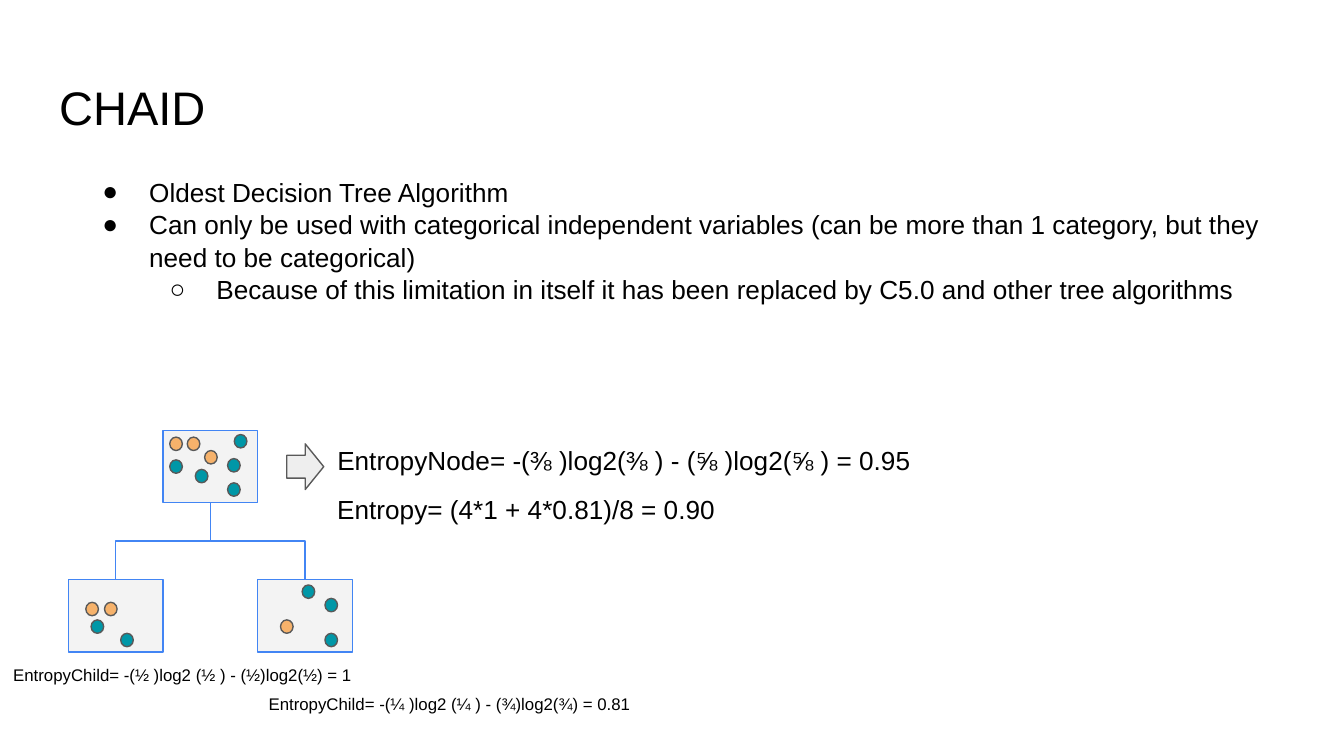
from lxml.etree import SubElement
from pptx import Presentation
from pptx.dml.color import RGBColor
from pptx.enum.shapes import MSO_CONNECTOR, MSO_SHAPE
from pptx.enum.text import MSO_ANCHOR, MSO_AUTO_SIZE, PP_ALIGN
from pptx.oxml.ns import qn
from pptx.util import Pt

BLUE, GREY, ORANGE, TEAL = "4285F4", "595959", "F6B26B", "0097A7"
NODE_W, NODE_H = 50.75, 38.75
DROP = 79.9  # from the top of the root to the top of its children
ROOT = [(ORANGE, 3.6, 3.6), (ORANGE, 13, 3.6), (TEAL, 38.2, 2.2),
        (TEAL, 3.6, 15.8), (TEAL, 17.3, 20.9), (ORANGE, 22.3, 10.8),
        (TEAL, 34.6, 15.1), (TEAL, 34.6, 28.1)]
LEFT = [(ORANGE, 9.4, 12.2), (ORANGE, 19.4, 12.2),
        (TEAL, 12.2, 21.6), (TEAL, 28.1, 28.8)]
RIGHT = [(ORANGE, 12.2, 21.6), (TEAL, 36, 10.1),
         (TEAL, 23.8, 2.9), (TEAL, 36, 28.8)]
POINTS = [
    (0, "Oldest Decision Tree Algorithm"),
    (0, "Can only be used with categorical independent variables "
        "(can be more than 1 category, but they need to be categorical)"),
    (1, "Because of this limitation in itself it has been replaced by "
        "C5.0 and other tree algorithms"),
]


def color(code):
    return RGBColor.from_string(code)


def place(shape, box):
    shape.left, shape.top, shape.width, shape.height = map(Pt, box)


def set_frame(frame, anchor=MSO_ANCHOR.TOP):
    frame.word_wrap = True
    frame.auto_size = MSO_AUTO_SIZE.NONE
    frame.vertical_anchor = anchor
    frame.margin_left = frame.margin_right = Pt(7.2)
    frame.margin_top = frame.margin_bottom = Pt(7.2)


def add_run(para, text, size):
    run = para.add_run()
    run.text = text
    run.font.size = Pt(size)
    run.font.name = "Arial"
    run.font.color.rgb = color("000000")


def add_bullet(para, char, indent):
    props = para._p.get_or_add_pPr()
    props.set("marL", str(Pt(indent)))
    props.set("indent", str(Pt(-25)))
    tint = SubElement(props, qn("a:buClr"))
    SubElement(tint, qn("a:srgbClr"), val="000000")
    SubElement(props, qn("a:buFont"), typeface="Arial")
    SubElement(props, qn("a:buChar"), char=char)


def add_title(slide, box, text):
    title = slide.shapes.title
    place(title, box)
    set_frame(title.text_frame)
    para = title.text_frame.paragraphs[0]
    para.alignment = PP_ALIGN.LEFT
    add_run(para, text, 25.2)


def add_list(slide, box, items):
    body = slide.placeholders[1]
    place(body, box)
    frame = body.text_frame
    set_frame(frame)
    for i, (level, text) in enumerate(items):
        para = frame.add_paragraph() if i else frame.paragraphs[0]
        para.level = level
        para.alignment = PP_ALIGN.LEFT
        para.line_spacing = 1.04
        para.space_before = para.space_after = Pt(0)
        add_bullet(para, "●○"[level], 36 * (level + 1))
        add_run(para, text, 14)


def add_note(slide, box, text, size):
    note = slide.shapes.add_textbox(*map(Pt, box))
    set_frame(note.text_frame, MSO_ANCHOR.MIDDLE)
    add_run(note.text_frame.paragraphs[0], text, size)


def add_solid(shapes, kind, box, fill, line):
    shape = shapes.add_shape(kind, *map(Pt, box))
    shape.shadow.inherit = False
    shape.fill.solid()
    shape.fill.fore_color.rgb = color(fill)
    shape.line.color.rgb = color(line)
    shape.line.width = Pt(0.75)


def add_node(shapes, x, y, dots):
    add_solid(shapes, MSO_SHAPE.RECTANGLE, (x, y, NODE_W, NODE_H),
              "F3F3F3", BLUE)
    for fill, dx, dy in dots:
        add_solid(shapes, MSO_SHAPE.OVAL, (x + dx, y + dy, 6.75, 7.2),
                  fill, GREY)


def add_branch(shapes, start, end):
    """Elbow that leaves downwards: a sideways elbow, turned about its middle."""
    (x1, y1), (x2, y2) = start, end
    midx, midy = (x1 + x2) / 2, (y1 + y2) / 2
    side = 1 if x2 < x1 else -1
    dx, dy = side * (y2 - y1) / 2, abs(x2 - x1) / 2
    branch = shapes.add_connector(
        MSO_CONNECTOR.ELBOW, Pt(midx - dx), Pt(midy - dy),
        Pt(midx + dx), Pt(midy + dy))
    branch.line.color.rgb = color(BLUE)
    branch.line.width = Pt(0.75)
    props = branch._element.spPr
    turn = 90 if side > 0 else 270
    props.find(qn("a:xfrm")).set("rot", str(turn * 60000))
    SubElement(props, qn("a:effectLst"))


def add_tree(slide, x, y):
    shapes = slide.shapes.add_group_shape().shapes
    start = (x + 1.5 * NODE_W, y + NODE_H)
    add_node(shapes, x + NODE_W, y, ROOT)
    for left, dots in ((x, LEFT), (x + 2 * NODE_W, RIGHT)):
        add_node(shapes, left, y + DROP, dots)
        add_branch(shapes, start, (left + NODE_W / 2, y + DROP))


def add_sums(slide, x, y):
    """Entropy of the root and of the split, with an arrow from the tree."""
    add_note(slide, (x + 20, y, 358.6, 31.7),
             "EntropyNode= -(⅜ )log2(⅜ ) - (⅝ )log2(⅝ ) = 0.95", 14)
    add_solid(slide.shapes, MSO_SHAPE.RIGHT_ARROW, (x, y + 7.2, 19.8, 24.5),
              "EEEEEE", GREY)
    add_note(slide, (x + 20, y + 26.2, 304.6, 31.7),
             "Entropy= (4*1 + 4*0.81)/8 = 0.90", 14)


def main():
    deck = Presentation()
    deck.slide_width, deck.slide_height = Pt(720), Pt(405)
    slide = deck.slides.add_slide(deck.slide_layouts[1])
    add_title(slide, (24.5, 35, 671, 45.4), "CHAID")
    add_list(slide, (36.7, 86.4, 658.8, 82), POINTS)
    add_tree(slide, 36.6, 230.6)
    add_sums(slide, 153.6, 230.6)
    add_note(slide, (136.8, 364.3, 236.2, 25.2),
             "EntropyChild= -(¼ )log2 (¼ ) - (¾)log2(¾) = 0.81", 9)
    add_note(slide, (0, 349, 227.5, 25.2),
             "EntropyChild= -(½ )log2 (½ ) - (½)log2(½) = 1", 9)
    deck.save("out.pptx")


if __name__ == "__main__":
    main()
